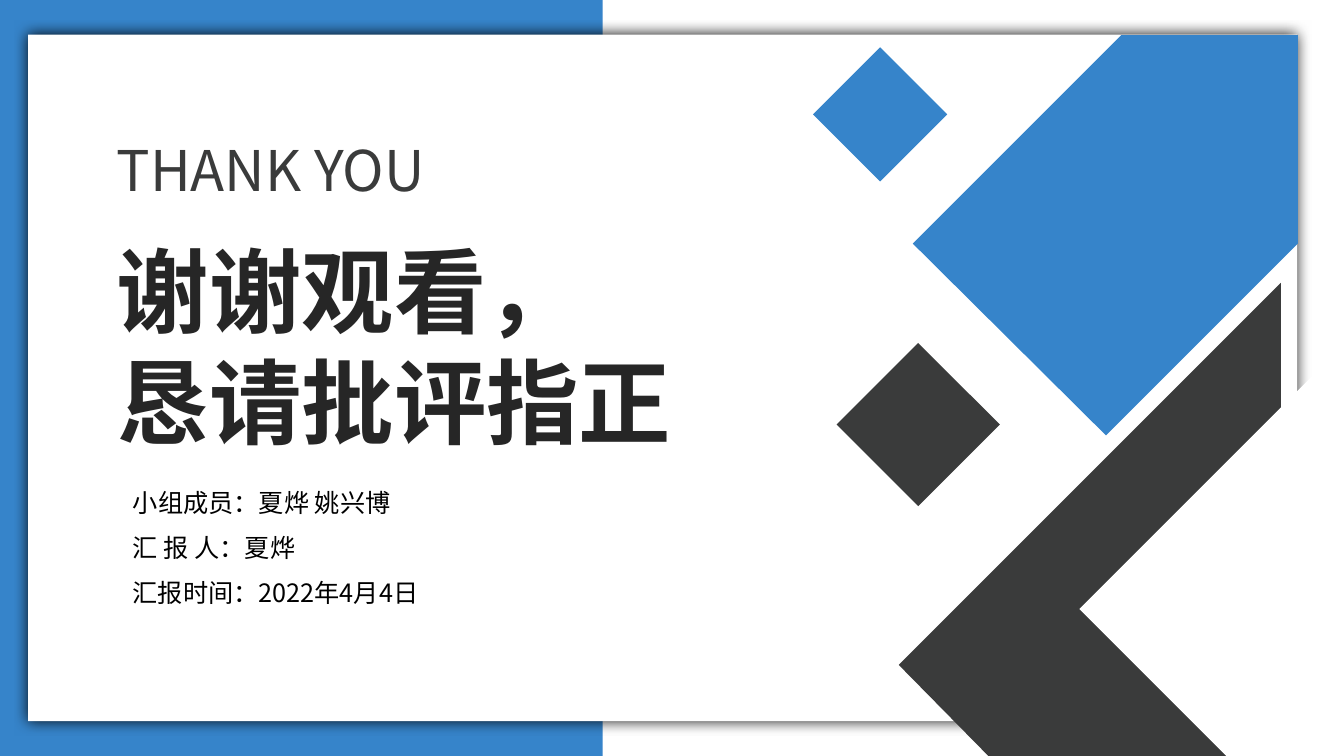
from lxml import etree
from pptx import Presentation
from pptx import util as u
from pptx.dml.color import RGBColor
from pptx.enum import shapes, text
from pptx.oxml import ns

Pt = u.Pt
BLUE, DARK, WHITE = "3684CA", "3A3B3B", "FFFFFF"


def paint(item, tint):
    item.fill.solid()
    item.fill.fore_color.rgb = RGBColor.from_string(tint)
    item.line.fill.background()
    item.shadow.inherit = False


def write(box, place, lines, look):
    box.left, box.top, box.width, box.height = map(Pt, place)
    frame = box.text_frame
    frame.word_wrap = True
    frame.auto_size = text.MSO_AUTO_SIZE.NONE
    frame.vertical_anchor = text.MSO_ANCHOR.TOP
    frame.text = "\n".join(lines)
    for para in frame.paragraphs:
        para.line_spacing = 1.0
        para.space_before = Pt(0)
        para.alignment = text.PP_ALIGN.LEFT
        para.font.color.rgb = RGBColor.from_string(look["tint"])
        for key in ("size", "bold"):
            setattr(para.font, key, look[key])
        for run in para.runs:
            run.font.name = "Noto Sans CJK SC"
            face = etree.SubElement(run.font._element, ns.qn("a:ea"))
            face.set("typeface", "Noto Sans CJK SC")


deck = Presentation()
deck.slide_width, deck.slide_height = Pt(960), Pt(540)
slide = deck.slides.add_slide(deck.slide_layouts[5])
pool = slide.shapes
title = pool.title

forms = shapes.MSO_SHAPE
blocks = [
    (forms.RECTANGLE, (0, 0, 430.5, 540), BLUE),
    (forms.RECTANGLE, (20, 24.8, 906.5, 490.3), WHITE),
    (forms.DIAMOND, (597.6, 245, 116.6, 116.6), DARK),
    (forms.DIAMOND, (580.8, 33.8, 95.8, 95.8), BLUE),
]
made = []
for form, place, tint in blocks:
    block = pool.add_shape(form, *map(Pt, place))
    paint(block, tint)
    made.append(block)

card = made[1]
glow = card._element.spPr.find(ns.qn("a:effectLst"))
shade = etree.SubElement(glow, ns.qn("a:outerShdw"), blurRad=str(Pt(10)), dist="0", algn="ctr", rotWithShape="0")
ink = etree.SubElement(shade, ns.qn("a:srgbClr"), val="000000")
etree.SubElement(ink, ns.qn("a:alpha"), val="90000")

bands = [
    ([(801.4, 24.8), (926.6, 24.8), (926.6, 173.5), (789.8, 311), (652.5, 174)], BLUE),
    ([(915.3, 201.6), (915.3, 540), (706.3, 540), (641.5, 475.2)], DARK),
    ([(960, 246), (960, 540), (876.2, 540), (771.1, 434.9)], WHITE),
]
for spots, tint in bands:
    pen = pool.build_freeform(*spots[0], scale=Pt(1))
    pen.add_line_segments(spots[1:], close=True)
    paint(pen.convert_to_shape(), tint)

card._element.getparent().append(title._element)
write(title, (76.3, 163.4, 427, 167), ["谢谢观看，", "恳请批评指正"],
      {"size": Pt(66), "bold": True, "tint": "262626"})
notes = [
    ((76.3, 93.6, 354.2, 55.4), "THANK YOU", 40, DARK),
    ((87.8, 344.2, 212.4, 28.8), "小组成员：夏烨 姚兴博", 18, "000000"),
    ((87.8, 376.6, 188.6, 28.8), "汇 报 人：夏烨", 18, "000000"),
    ((87.8, 409, 227.5, 28.8), "汇报时间：2022年4月4日", 18, "000000"),
]
for place, line, size, tint in notes:
    note = pool.add_textbox(0, 0, 0, 0)
    write(note, place, [line], {"size": Pt(size), "bold": False, "tint": tint})

deck.save("out.pptx")
